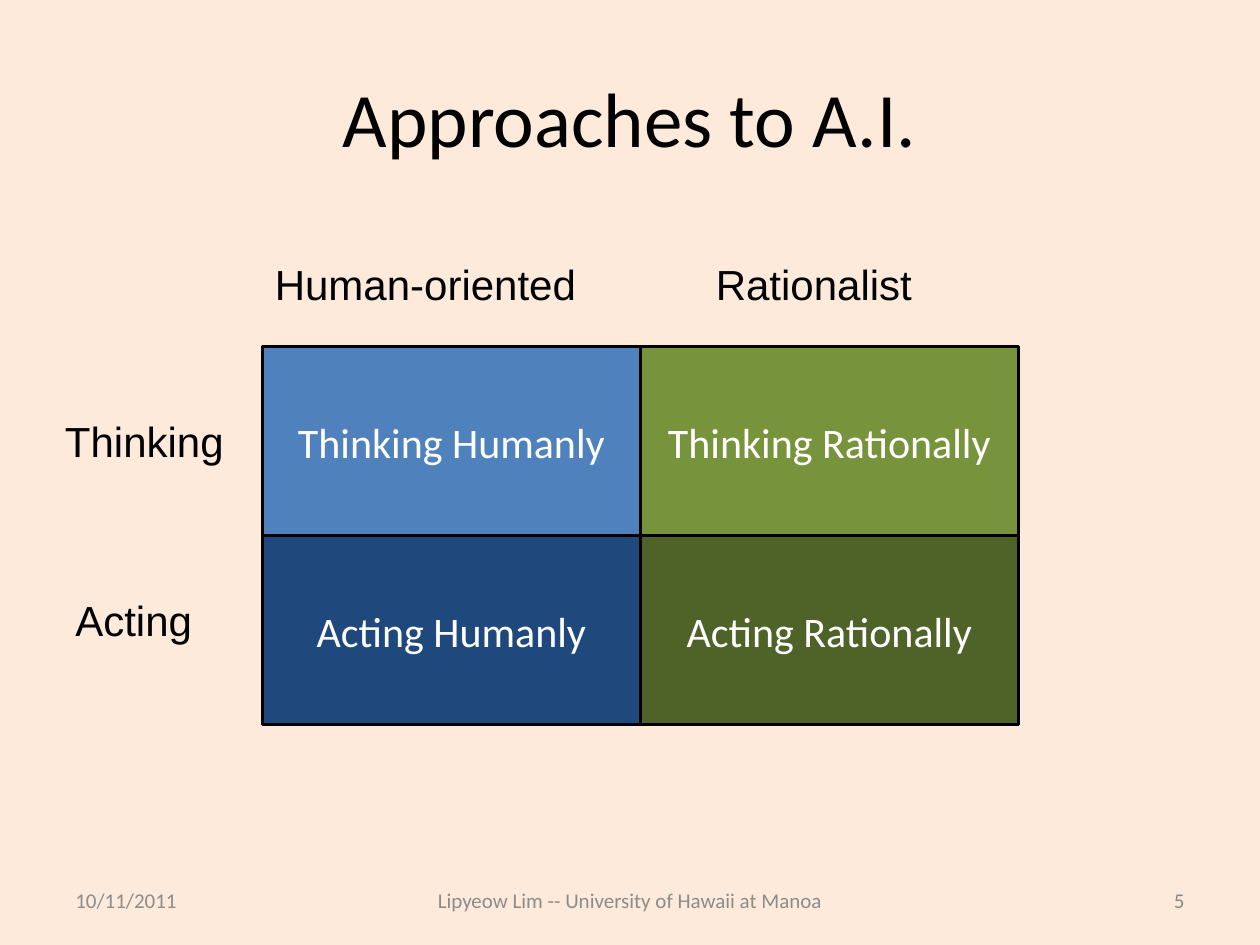
from pptx import Presentation
from pptx.dml.color import RGBColor
from pptx.enum.shapes import MSO_SHAPE
from pptx.enum.text import MSO_ANCHOR, PP_ALIGN
from pptx.util import Cm, Pt

CREAM = RGBColor(0xFD, 0xEA, 0xDA)
BLACK = RGBColor(0x00, 0x00, 0x00)
WHITE = RGBColor(0xFF, 0xFF, 0xFF)
GRAY = RGBColor(0x8C, 0x8C, 0x8C)
NUMBER_GRAY = RGBColor(0x89, 0x89, 0x89)
BLUE = RGBColor(0x4F, 0x81, 0xBD)
GREEN = RGBColor(0x77, 0x93, 0x3C)
NAVY = RGBColor(0x1F, 0x49, 0x7D)
OLIVE = RGBColor(0x4F, 0x62, 0x28)


def write(sp, text, size, font, color, align, anchor=MSO_ANCHOR.MIDDLE, wrap=True):
    tf = sp.text_frame
    tf.word_wrap = wrap
    tf.vertical_anchor = anchor
    p = tf.paragraphs[0]
    p.alignment = align
    r = p.add_run()
    r.text = text
    r.font.size = Pt(size)
    r.font.name = font
    r.font.color.rgb = color


prs = Presentation()
prs.slide_width = Cm(25.4)
prs.slide_height = Cm(19.05)
s = prs.slides.add_slide(prs.slide_layouts[6])
s.background.fill.solid()
s.background.fill.fore_color.rgb = CREAM

sp = s.shapes.add_textbox(Cm(1.27), Cm(0.76), Cm(22.86), Cm(3.18))
write(sp, "Approaches to A.I.", 44, "Calibri", BLACK, PP_ALIGN.CENTER)

footers = [
    ("10/11/2011", 1.27, 5.93, GRAY, PP_ALIGN.LEFT),
    ("Lipyeow Lim -- University of Hawaii at Manoa", 7.62, 10.16, GRAY, PP_ALIGN.CENTER),
    ("5", 18.2, 5.93, NUMBER_GRAY, PP_ALIGN.RIGHT),
]
for text, left, width, color, align in footers:
    sp = s.shapes.add_textbox(Cm(left), Cm(17.65), Cm(width), Cm(1.01))
    write(sp, text, 12, "Calibri", color, align)

labels = [
    ("Human-oriented", 5.29, 5.08, 6.65),
    ("Rationalist", 14.18, 5.08, 4.52),
    ("Thinking", 1.06, 8.26, 3.76),
    ("Acting", 1.27, 11.85, 2.9),
]
for text, left, top, width in labels:
    sp = s.shapes.add_textbox(Cm(left), Cm(top), Cm(width), Cm(1.28))
    write(sp, text, 24, "Arial", BLACK, PP_ALIGN.LEFT, MSO_ANCHOR.TOP, False)

cell_w, cell_h = 7.62, 3.81
grid = [
    [("Thinking Humanly", BLUE), ("Thinking Rationally", GREEN)],
    [("Acting Humanly", NAVY), ("Acting Rationally", OLIVE)],
]
for i, row in enumerate(grid):
    for j, (text, fill) in enumerate(row):
        sp = s.shapes.add_shape(
            MSO_SHAPE.RECTANGLE,
            Cm(5.29 + j * cell_w), Cm(6.99 + i * cell_h), Cm(cell_w), Cm(cell_h),
        )
        sp.shadow.inherit = False
        sp.fill.solid()
        sp.fill.fore_color.rgb = fill
        sp.line.color.rgb = BLACK
        sp.line.width = Pt(2)
        write(sp, text, 24, "Calibri", WHITE, PP_ALIGN.CENTER)

prs.save("out.pptx")
